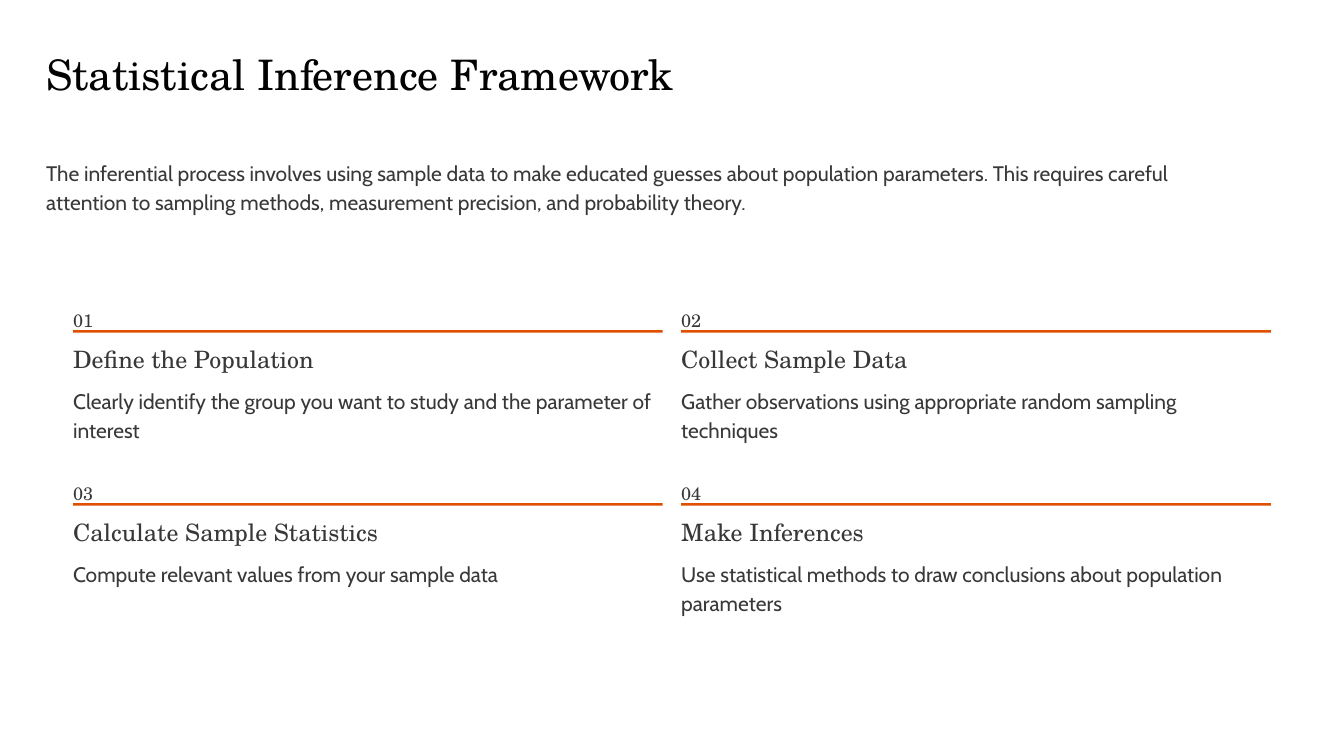
"""Build the Statistical Inference Framework slide."""
from pptx import Presentation
from pptx.dml.color import RGBColor
from pptx.enum import shapes
from pptx.util import Inches, Pt

BLACK = RGBColor(0x02, 0x02, 0x02)
GREY = RGBColor(0x38, 0x38, 0x38)
ORANGE = RGBColor(0xE0, 0x4F, 0x00)
WHITE = RGBColor(0xFF, 0xFF, 0xFF)
SERIF = "TeX Gyre Schola"
SANS = "Cabin"

INTRO = (
    "The inferential process involves using sample data to make educated guesses "
    "about population parameters. This requires careful attention to sampling "
    "methods, measurement precision, and probability theory."
)
STEPS = [
    ("Define the Population",
     "Clearly identify the group you want to study and the parameter of interest"),
    ("Collect Sample Data",
     "Gather observations using appropriate random sampling techniques"),
    ("Calculate Sample Statistics",
     "Compute relevant values from your sample data"),
    ("Make Inferences",
     "Use statistical methods to draw conclusions about population parameters"),
]


def add_text(slide, box, words, font_name, size, spacing, color=GREY, wrap=True):
    """Place one paragraph in a box given as left, top, width, height in inches."""
    frame = slide.shapes.add_textbox(*map(Inches, box)).text_frame
    frame.margin_left = frame.margin_top = frame.margin_right = frame.margin_bottom = 0
    frame.word_wrap = wrap
    paragraph = frame.paragraphs[0]
    paragraph.text = words
    paragraph.line_spacing = Pt(spacing)
    paragraph.font.name = font_name
    paragraph.font.size = Pt(size)
    paragraph.font.color.rgb = color


def add_header(slide, left, top, width):
    """Place the title and the introduction below it."""
    add_text(slide, (left, top, 8.04, 0.71), "Statistical Inference Framework",
             SERIF, 36, 51, BLACK, wrap=False)
    add_text(slide, (left, top + 1.39, width, 0.69), INTRO, SANS, 18, 25)


def add_step(slide, left, top, width, number, heading, description):
    """Place a numbered step with its rule, heading and description."""
    add_text(slide, (left, top, 0.25, 0.27), f"{number:02}", SERIF, 15.5, 25, wrap=False)
    rule = slide.shapes.add_shape(
        shapes.MSO_SHAPE.RECTANGLE,
        Inches(left), Inches(top + 0.34), Inches(width), Inches(0.03))
    rule.shadow.inherit = False
    rule.fill.solid()
    rule.fill.fore_color.rgb = ORANGE
    rule.line.fill.background()
    add_text(slide, (left, top + 0.5, 3.65, 0.36), heading, SERIF, 20.5, 25.5, wrap=False)
    add_text(slide, (left, top + 0.99, width, 0.69), description, SANS, 18, 25)


def add_steps(slide, left, top, width):
    """Place the steps in a grid of two columns."""
    gap, row_pitch = 0.22, 2.06
    step_width = (width - gap) / 2
    for index, (heading, description) in enumerate(STEPS):
        row, column = divmod(index, 2)
        add_step(slide, left + column * (step_width + gap), top + row * row_pitch,
                 step_width, index + 1, heading, description)


def main():
    """Create the presentation and save it."""
    presentation = Presentation()
    presentation.slide_width = Inches(16)
    presentation.slide_height = Inches(9)
    slide = presentation.slides.add_slide(presentation.slide_layouts[6])
    slide.background.fill.solid()
    slide.background.fill.fore_color.rgb = WHITE
    add_header(slide, 0.55, 0.47, 14.26)
    add_steps(slide, 0.87, 3.59, 14.26)
    presentation.save("out.pptx")


if __name__ == "__main__":
    main()
